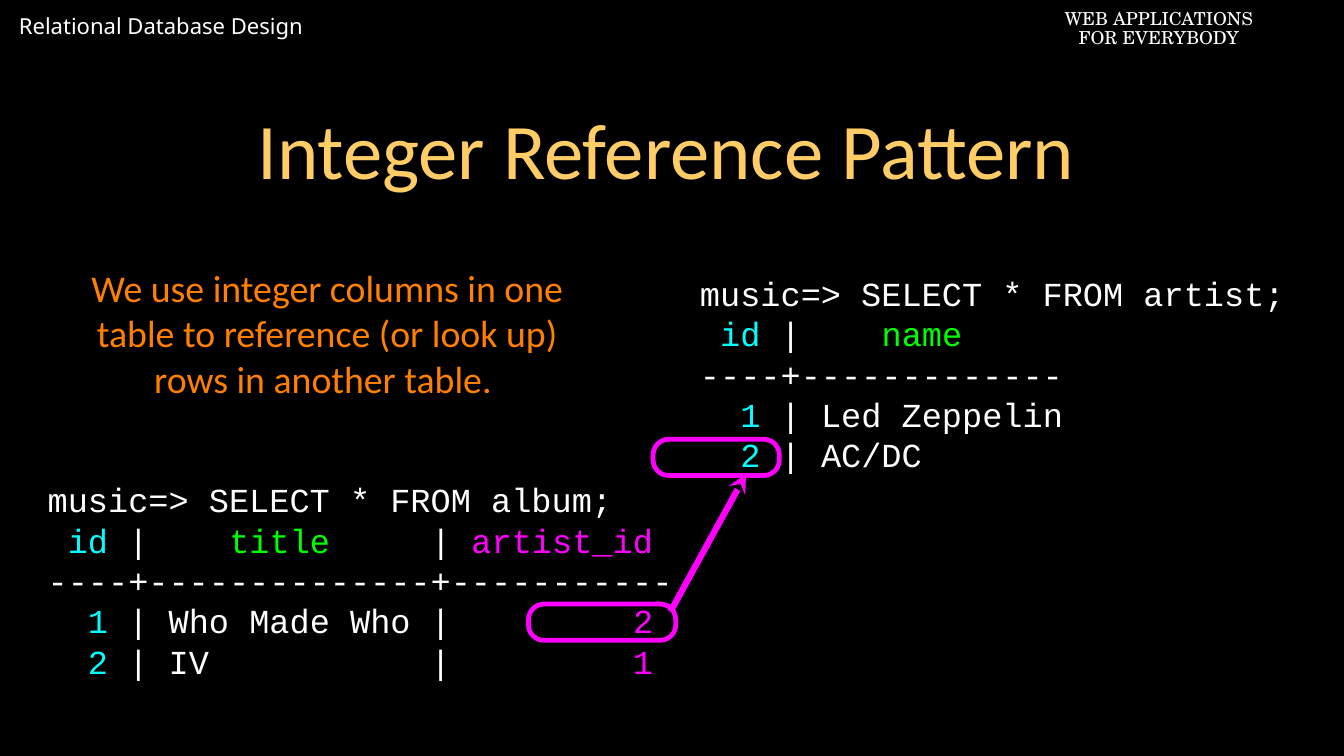
from lxml.etree import SubElement
from pptx import Presentation
from pptx.dml.color import RGBColor
from pptx.enum.shapes import MSO_CONNECTOR, MSO_SHAPE
from pptx.enum.text import MSO_ANCHOR, MSO_AUTO_SIZE, PP_ALIGN
from pptx.oxml.ns import qn
from pptx.util import Pt

PIXEL = 9144
BLACK = RGBColor(0, 0, 0)
WHITE = RGBColor(255, 255, 255)
GOLD = RGBColor(255, 204, 102)
ORANGE = RGBColor(255, 127, 0)
CYAN = RGBColor(0, 255, 255)
GREEN = RGBColor(0, 255, 0)
MAGENTA = RGBColor(255, 0, 255)

ALBUM_ROWS = [
    [("music=> SELECT * FROM album;", WHITE)],
    [(" id ", CYAN), ("|    ", WHITE), ("title", GREEN),
     ("     | ", WHITE), ("artist_id", MAGENTA)],
    [("----+--------------+-----------", WHITE)],
    [("  1", CYAN), (" | Who Made Who |         ", WHITE), ("2", MAGENTA)],
    [("  2 ", CYAN), ("| IV           |         ", WHITE), ("1", MAGENTA)],
]
ARTIST_ROWS = [
    [("music=> SELECT * FROM artist;", WHITE)],
    [(" id ", CYAN), ("|    ", WHITE), ("name", GREEN)],
    [("----+-------------", WHITE)],
    [("  1", CYAN), (" | Led Zeppelin", WHITE)],
    [("  2", CYAN), (" | AC/DC", WHITE)],
]


def emu(*pixels):
    return [value * PIXEL for value in pixels]


def write_lines(shape, lines, font, size, align=PP_ALIGN.LEFT,
                anchor=MSO_ANCHOR.TOP, margins=(0, 0), spacing=1.0):
    frame = shape.text_frame
    frame.word_wrap = True
    frame.auto_size = MSO_AUTO_SIZE.NONE
    frame.vertical_anchor = anchor
    frame.margin_left = frame.margin_right = margins[0] * PIXEL
    frame.margin_top = frame.margin_bottom = margins[1] * PIXEL
    for index, line in enumerate(lines):
        paragraph = frame.add_paragraph() if index else frame.paragraphs[0]
        paragraph.alignment = align
        paragraph.line_spacing = spacing
        for text, color in line:
            run = paragraph.add_run()
            run.text = text
            run.font.name = font
            run.font.size = Pt(size)
            run.font.color.rgb = color


def add_text(slide, box, lines, **text_format):
    shape = slide.shapes.add_textbox(*emu(*box))
    write_lines(shape, lines, **text_format)


def add_header(slide, left, top):
    add_text(slide, (left, top, 532, 88), [[("Relational Database Design", WHITE)]],
             font="Noto Sans", size=21, margins=(18, 9))
    add_text(slide, (left + 1324, top + 1, 404, 61),
             [[("WEB APPLICATIONS", WHITE)], [("FOR EVERYBODY", WHITE)]],
             font="TeX Gyre Schola", size=17, align=PP_ALIGN.CENTER,
             margins=(10, 5), spacing=0.9)


def add_title(slide, box):
    title = slide.shapes.title
    title.left, title.top, title.width, title.height = emu(*box)
    write_lines(title, [[("Integer Reference Pattern", GOLD)]], font="Calibri",
                size=75, align=PP_ALIGN.CENTER, anchor=MSO_ANCHOR.MIDDLE,
                margins=(7, 7))


def add_explanation(slide, box):
    text = ("We use integer columns in one table to reference "
            "(or look up) rows in another table. ")
    add_text(slide, box, [[(text, ORANGE)]], font="Calibri", size=36,
             align=PP_ALIGN.CENTER, anchor=MSO_ANCHOR.MIDDLE)


def add_query(slide, box, rows, highlight):
    left, top, width, height = box
    add_text(slide, box, rows, font="Courier New", size=32, margins=(18, 9))
    offset_x, offset_y, ring_width = highlight
    ring = slide.shapes.add_shape(
        MSO_SHAPE.ROUNDED_RECTANGLE,
        *emu(left + offset_x, top + offset_y, ring_width, 48))
    ring.adjustments[0] = 0.43
    ring.shadow.inherit = False
    ring.fill.background()
    ring.line.color.rgb = MAGENTA
    ring.line.width = Pt(4.5)


def add_reference_arrow(slide, start, end):
    arrow = slide.shapes.add_connector(MSO_CONNECTOR.STRAIGHT, *emu(*start, *end))
    arrow.line.color.rgb = MAGENTA
    arrow.line.width = Pt(6)
    SubElement(arrow.line._get_or_add_ln(), qn("a:tailEnd"), type="stealth")
    SubElement(arrow._element.spPr, qn("a:effectLst"))


def main():
    presentation = Presentation()
    presentation.slide_width, presentation.slide_height = emu(1778, 1000)
    slide = presentation.slides.add_slide(presentation.slide_layouts[5])
    slide.background.fill.solid()
    slide.background.fill.fore_color.rgb = BLACK
    add_header(slide, 7, 7)
    add_title(slide, (119, 70, 1524, 252))
    add_explanation(slide, (113, 311, 640, 258))
    add_query(slide, (45, 625, 911, 285), ALBUM_ROWS, highlight=(654, 174, 195))
    add_query(slide, (908, 352, 848, 285), ARTIST_ROWS, highlight=(-44, 229, 167))
    add_reference_arrow(slide, (887, 809), (987, 627))
    presentation.save("out.pptx")


if __name__ == "__main__":
    main()
